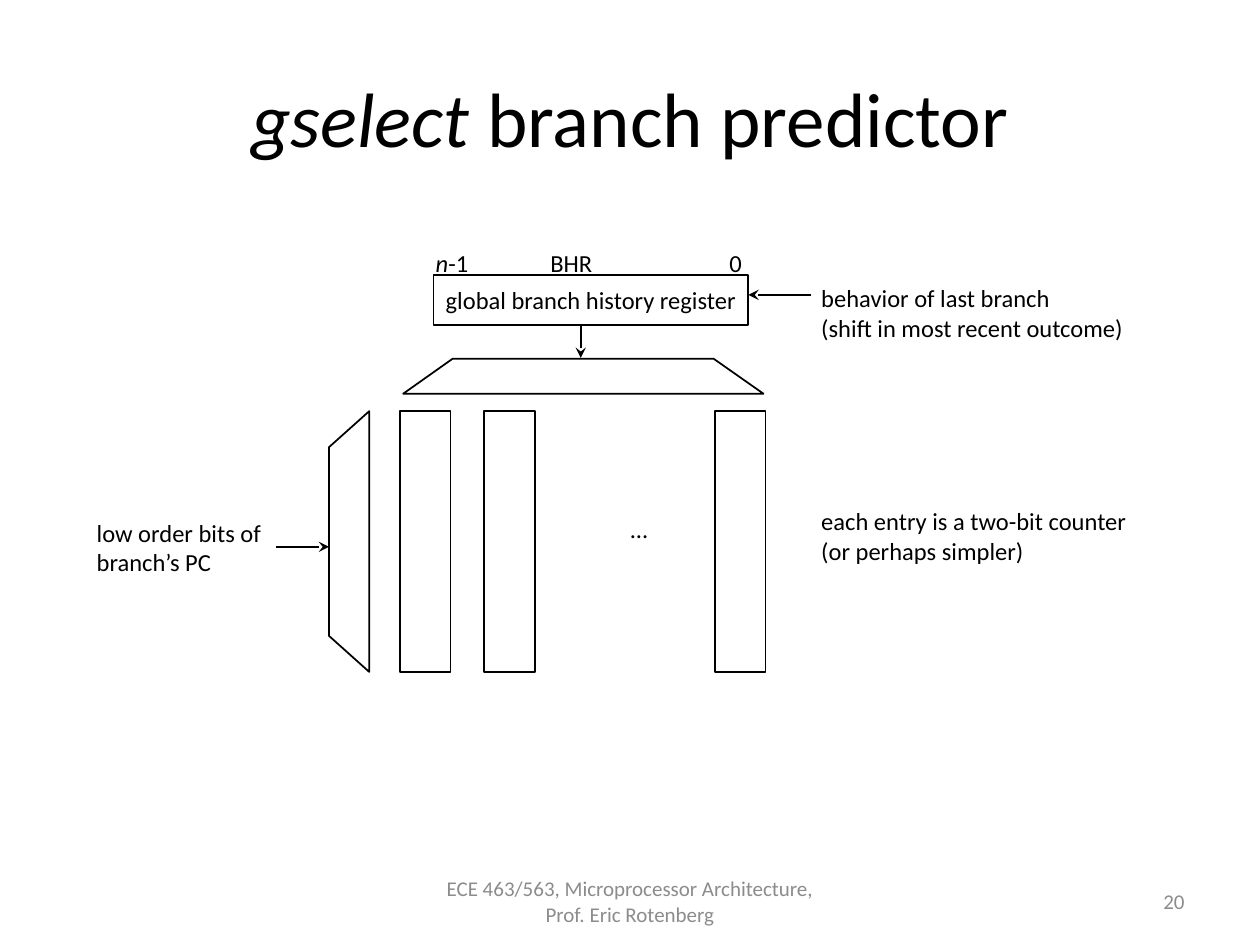
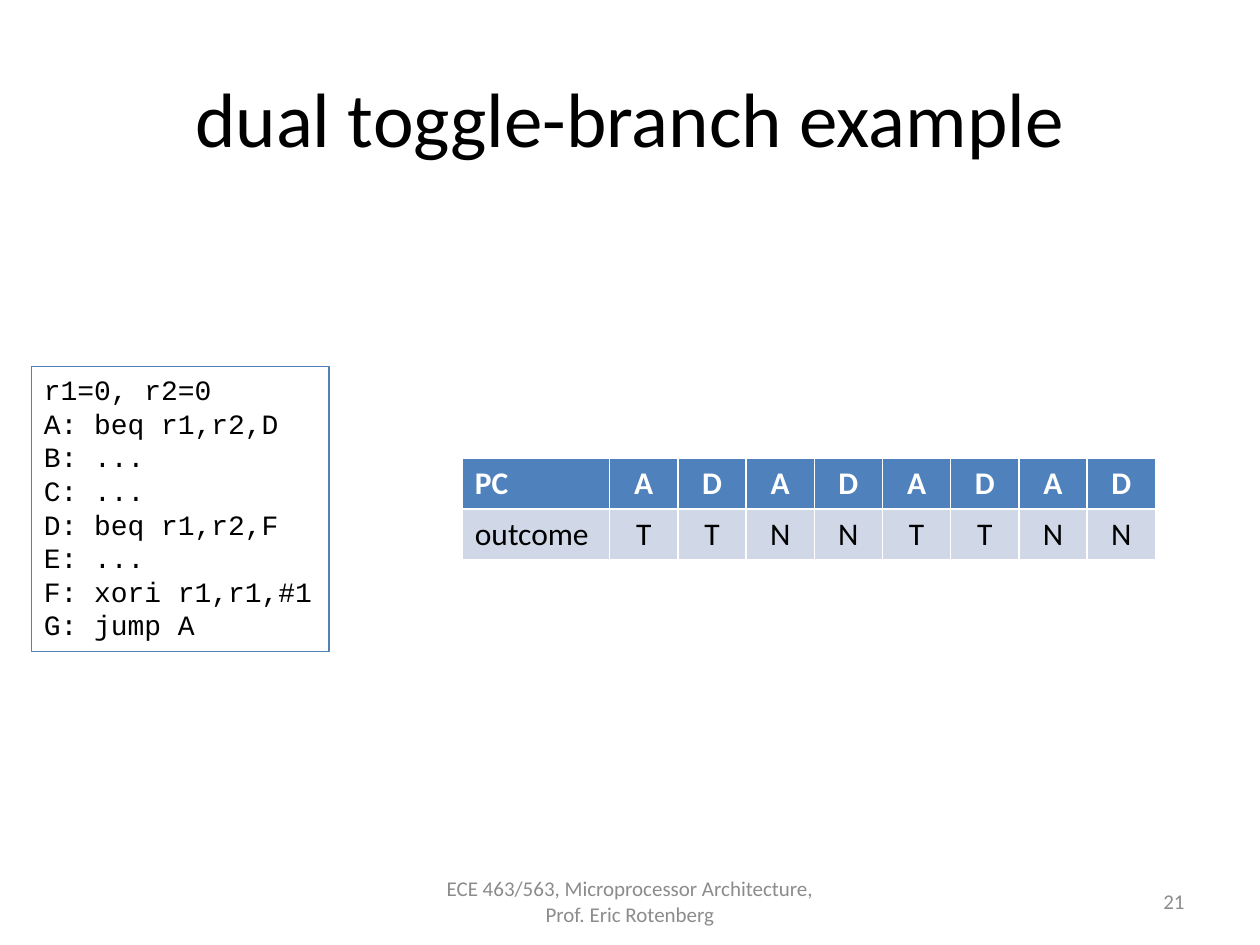
"""Build two slides on branch prediction: the gselect predictor and a toggle-branch example."""
from dataclasses import dataclass

from lxml import etree
from pptx import Presentation
from pptx.dml.color import RGBColor
from pptx.enum import shapes, text
from pptx.oxml.ns import qn
from pptx.util import Pt

BLACK = RGBColor(0x00, 0x00, 0x00)
WHITE = RGBColor(0xFF, 0xFF, 0xFF)
GREY = RGBColor(0x8C, 0x8C, 0x8C)
BLUE = RGBColor(0x4F, 0x81, 0xBD)
PALE_BLUE = RGBColor(0xD0, 0xD8, 0xE8)
BODY_FONT, CODE_FONT = "Calibri", "Courier New"
LEFT, CENTER, RIGHT = text.PP_ALIGN.LEFT, text.PP_ALIGN.CENTER, text.PP_ALIGN.RIGHT

FOOTER = "ECE 463/563, Microprocessor Architecture, Prof. Eric Rotenberg"
CODE = ("r1=0, r2=0", "A: beq r1,r2,D", "B: ...", "C: ...", "D: beq r1,r2,F",
        "E: ...", "F: xori r1,r1,#1", "G: jump A")
OUTCOMES = (("PC", *"ADADADAD"), ("outcome", *"TTNNTTNN"))


@dataclass(frozen=True)
class Box:
    """A rectangle in points."""
    left: float
    top: float
    width: float
    height: float

    def lengths(self) -> tuple:
        """Return the four lengths as Pt values."""
        return Pt(self.left), Pt(self.top), Pt(self.width), Pt(self.height)


@dataclass(frozen=True)
class Label:
    """Left-aligned lines of text, with an optional italic lead."""
    box: Box
    lines: tuple
    italic_lead: str = ""


@dataclass(frozen=True)
class Arrow:
    """A straight arrow from start to tip, in points."""
    start: tuple
    tip: tuple


REGISTER = Box(247.7, 157, 180, 28.8)
COUNTER_LEFTS = (228.6, 276.8, 408.6)
COUNTER_TOP, COUNTER_WIDTH, COUNTER_HEIGHT = 235, 28.8, 149
PC_DECODER = ((211, 235), (188, 255.6), (188, 363.4), (211, 384))
HISTORY_DECODER = ((230.4, 225), (258.7, 205), (407.8, 205), (436.3, 225))
LABELS = (
    Label(Box(241.9, 138.2, 33.8, 24.5), ("-1",), "n"),
    Label(Box(409.7, 138.2, 21.6, 24.5), ("0",)),
    Label(Box(462.2, 158.4, 188.6, 41),
          ("behavior of last branch", "(shift in most recent outcome)")),
    Label(Box(48.2, 292.3, 112.3, 41), ("low order bits of", "branch’s PC")),
    Label(Box(352.8, 290.2, 25.2, 24.5), ("...",)),
    Label(Box(462.2, 285.8, 190.8, 41),
          ("each entry is a two-bit counter", "(or perhaps simpler)")),
    Label(Box(307.4, 138.2, 38.9, 24.5), ("BHR",)),
)
ARROWS = (
    Arrow((463.7, 168.5), (427.7, 168.5)),
    Arrow((157.7, 312.5), (188, 312.5)),
    Arrow((331.9, 186.5), (331.9, 204.5)),
)


def style(paragraph, size: float, color: RGBColor = BLACK, align=LEFT,
          font: str = BODY_FONT, bold: bool = False) -> None:
    """Set the font and alignment of a paragraph."""
    paragraph.alignment = align
    paragraph.font.name, paragraph.font.size = font, Pt(size)
    paragraph.font.color.rgb, paragraph.font.bold = color, bold


def write(frame, lines: tuple, size: float, **look) -> None:
    """Write one styled paragraph for each line."""
    frame.text = "\n".join(lines)
    for paragraph in frame.paragraphs:
        style(paragraph, size, **look)


def fit(frame) -> None:
    """Let the shape grow with unwrapped text."""
    frame.word_wrap = False
    frame.auto_size = text.MSO_AUTO_SIZE.SHAPE_TO_FIT_TEXT


def outline(shape, color: RGBColor = BLACK, width: float = 1) -> None:
    """Give a shape a flat outline."""
    shape.shadow.inherit = False
    shape.line.color.rgb, shape.line.width = color, Pt(width)


def add_block(slide, box: Box):
    """Add a white rectangle with a black outline."""
    block = slide.shapes.add_shape(shapes.MSO_SHAPE.RECTANGLE, *box.lengths())
    block.fill.solid()
    block.fill.fore_color.rgb = WHITE
    outline(block)
    return block


def add_decoder(slide, corners: tuple) -> None:
    """Add a closed white outline through the corners."""
    first, *others = [(Pt(x), Pt(y)) for x, y in corners]
    builder = slide.shapes.build_freeform(*first)
    builder.add_line_segments(others, close=True)
    decoder = builder.convert_to_shape()
    decoder.fill.solid()
    decoder.fill.fore_color.rgb = WHITE
    outline(decoder)


def add_label(slide, label: Label) -> None:
    """Add a diagram label."""
    frame = slide.shapes.add_textbox(*label.box.lengths()).text_frame
    if label.italic_lead:
        paragraph = frame.paragraphs[0]
        lead = paragraph.add_run()
        lead.text, lead.font.italic = label.italic_lead, True
        paragraph.add_run().text = label.lines[0]
        style(paragraph, 14)
    else:
        write(frame, label.lines, 14)
    fit(frame)


def add_arrow(slide, arrow: Arrow) -> None:
    """Add a thin line with a stealth head at its tip."""
    ends = [Pt(length) for length in (*arrow.start, *arrow.tip)]
    connector = slide.shapes.add_connector(shapes.MSO_CONNECTOR.STRAIGHT, *ends)
    connector.line.color.rgb, connector.line.width = BLACK, Pt(1)
    properties = connector.element.spPr
    etree.SubElement(properties.find(qn("a:ln")), qn("a:tailEnd"), type="stealth")
    etree.SubElement(properties, qn("a:effectLst"))


def add_footer(slide, box: Box, words: str, align) -> None:
    """Add one grey footer text."""
    frame = slide.shapes.add_textbox(*box.lengths()).text_frame
    frame.word_wrap = True
    frame.vertical_anchor = text.MSO_ANCHOR.MIDDLE
    write(frame, (words,), 12, color=GREY, align=align)


def add_slide(deck, number: int, title: str, italic_lead: str = ""):
    """Add a slide with its title, footer and number."""
    slide = deck.slides.add_slide(deck.slide_layouts[5])
    heading = slide.shapes.title
    heading.left, heading.top, heading.width, heading.height = Box(36, 21.6, 648, 90).lengths()
    heading.text_frame.vertical_anchor = text.MSO_ANCHOR.MIDDLE
    paragraph = heading.text_frame.paragraphs[0]
    if italic_lead:
        lead = paragraph.add_run()
        lead.text, lead.font.italic = italic_lead, True
    paragraph.add_run().text = title
    style(paragraph, 44, align=CENTER)
    add_footer(slide, Box(246, 500.5, 228, 28.8), FOOTER, CENTER)
    add_footer(slide, Box(516, 500.5, 168, 28.8), str(number), RIGHT)
    return slide


def build_predictor(deck) -> None:
    """Draw the gselect predictor diagram."""
    slide = add_slide(deck, 20, " branch predictor", "gselect")
    register = add_block(slide, REGISTER).text_frame
    register.word_wrap = False
    register.vertical_anchor = text.MSO_ANCHOR.MIDDLE
    write(register, ("global branch history register",), 14, align=CENTER)
    for left in COUNTER_LEFTS:
        add_block(slide, Box(left, COUNTER_TOP, COUNTER_WIDTH, COUNTER_HEIGHT))
    for corners in (PC_DECODER, HISTORY_DECODER):
        add_decoder(slide, corners)
    for arrow in ARROWS:
        add_arrow(slide, arrow)
    for label in LABELS:
        add_label(slide, label)


def build_example(deck) -> None:
    """Show the toggle-branch code and its outcomes."""
    slide = add_slide(deck, 21, "dual toggle-branch example")
    listing = slide.shapes.add_shape(shapes.MSO_SHAPE.RECTANGLE,
                                     *Box(18, 209.5, 170, 162.7).lengths())
    listing.fill.background()
    outline(listing, BLUE, 0.75)
    listing.text_frame.vertical_anchor = text.MSO_ANCHOR.TOP
    write(listing.text_frame, CODE, 16, font=CODE_FONT)
    fit(listing.text_frame)

    outcomes = slide.shapes.add_table(len(OUTCOMES), len(OUTCOMES[0]),
                                      *Box(264.2, 261.6, 396.2, 58.4).lengths()).table
    for index, column in enumerate(outcomes.columns):
        column.width = Pt(39 if index else 84.2)
    for row, words in enumerate(OUTCOMES):
        header = row == 0
        for column, word in enumerate(words):
            cell = outcomes.cell(row, column)
            cell.fill.solid()
            cell.fill.fore_color.rgb = BLUE if header else PALE_BLUE
            write(cell.text_frame, (word,), 18, color=WHITE if header else BLACK,
                  align=CENTER if column else LEFT, bold=header)


def main() -> None:
    """Build and save the deck."""
    deck = Presentation()
    deck.slide_width, deck.slide_height = Pt(720), Pt(540)
    build_predictor(deck)
    build_example(deck)
    deck.save("out.pptx")


if __name__ == "__main__":
    main()
